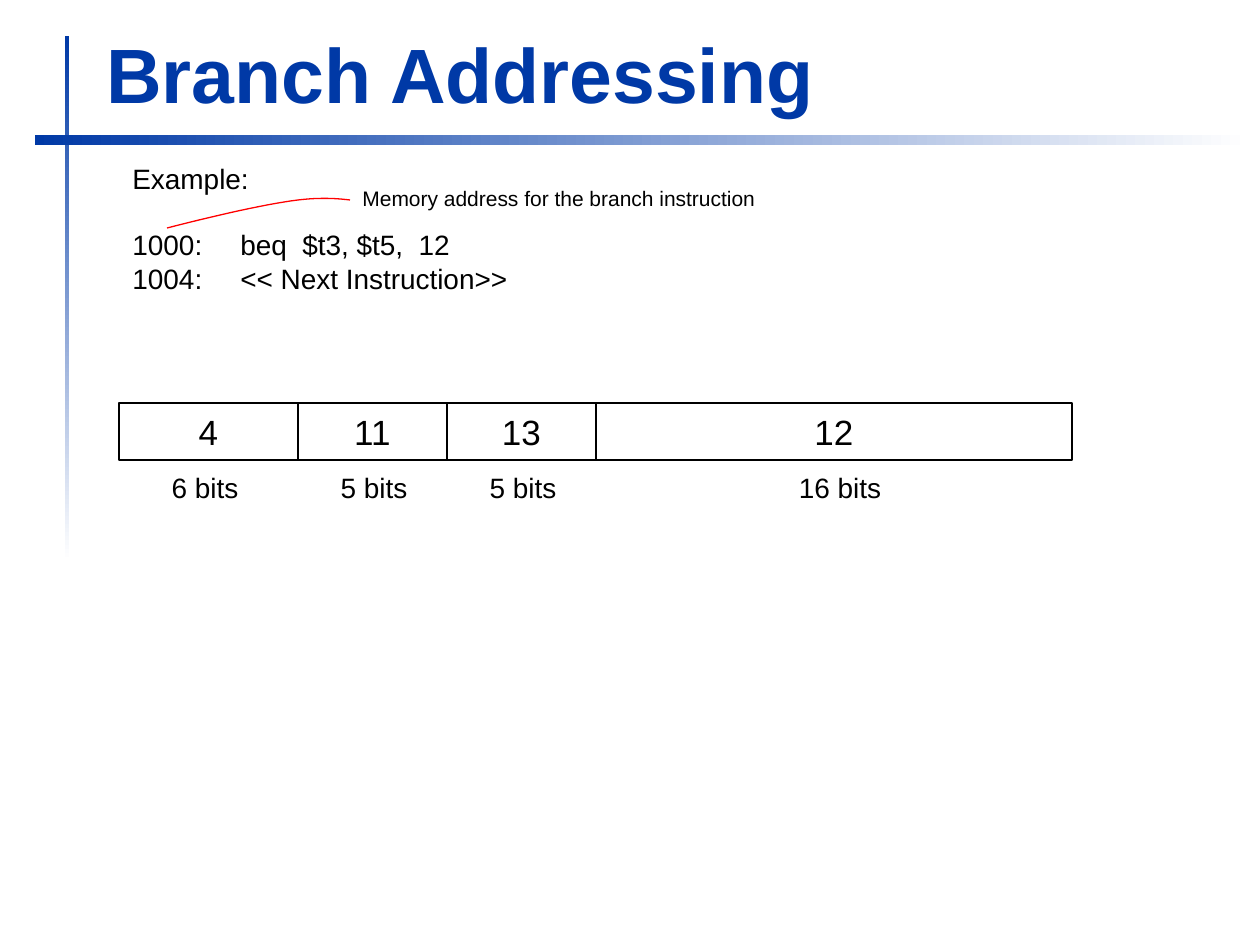
from dataclasses import dataclass

from lxml import etree
from pptx import Presentation
from pptx import util as u
from pptx.dml.color import RGBColor
from pptx.enum import shapes, text
from pptx.oxml.ns import qn

PX_PER_INCH = 126


@dataclass(frozen=True)
class Theme:
    font: str = "Arial"
    blue: RGBColor = RGBColor(0x00, 0x39, 0xA6)
    white: RGBColor = RGBColor(0xFF, 0xFF, 0xFF)
    black: RGBColor = RGBColor(0x00, 0x00, 0x00)
    red: RGBColor = RGBColor(0xFF, 0x00, 0x00)
    title: int = 44
    field: int = 20
    body: int = 16
    note: int = 12


THEME = Theme()
LEFT, CENTER = text.PP_ALIGN.LEFT, text.PP_ALIGN.CENTER


def px(length):
    return u.Emu(round(length * u.Inches(1) / PX_PER_INCH))


def write(shape, words, size, color=THEME.black, align=LEFT, bold=False):
    shape.text_frame.text = words
    for paragraph in shape.text_frame.paragraphs:
        paragraph.alignment = align
        for run in paragraph.runs:
            run.font.name = THEME.font
            run.font.size = u.Pt(size)
            run.font.bold = bold
            run.font.color.rgb = color


def add_text(slide, box, words, size, wrap=True, **style):
    shape = slide.shapes.add_textbox(*map(px, box))
    shape.text_frame.word_wrap = wrap
    write(shape, words, size, **style)
    return shape


def add_rectangle(slide, box):
    shape = slide.shapes.add_shape(shapes.MSO_SHAPE.RECTANGLE, *map(px, box))
    shape.shadow.inherit = False
    return shape


def add_fading_bar(slide, box, angle):
    bar = add_rectangle(slide, box)
    bar.line.fill.background()
    bar.fill.gradient()
    bar.fill.gradient_angle = angle
    for position, (stop, color) in enumerate(
        zip(bar.fill.gradient_stops, (THEME.blue, THEME.white))
    ):
        stop.position = position
        stop.color.rgb = color


def add_title(slide, words):
    title = add_text(
        slide, (94, 20, 1138, 105), words, THEME.title, color=THEME.blue, bold=True
    )
    title.text_frame.vertical_anchor = text.MSO_ANCHOR.BOTTOM


def add_tab_stop(paragraph, position):
    tabs = etree.SubElement(paragraph._p.get_or_add_pPr(), qn("a:tabLst"))
    etree.SubElement(tabs, qn("a:tab"), pos=str(px(position)), algn="l")


def add_listing(slide):
    lines = ("Example:", "1000:\tbeq  $t3, $t5,  12", "1004:\t<< Next Instruction>>")
    listing = add_text(
        slide, (120, 155, 407, 149), "\n".join(lines), THEME.body, wrap=False
    )
    instructions = listing.text_frame.paragraphs[1:]
    for paragraph in instructions:
        add_tab_stop(paragraph, 108)
    instructions[0].space_before = u.Pt(19)


def add_fields(slide, fields):
    left = 119
    for value, bits, width, label_center in fields:
        cell = add_rectangle(slide, (left, 403, width, 57))
        cell.fill.background()
        cell.line.color.rgb = THEME.black
        cell.line.width = u.Pt(1.5)
        write(cell, value, THEME.field, align=CENTER)
        label_box = (label_center - 54, 464, 108, 47)
        add_text(slide, label_box, bits, THEME.body, wrap=False, align=CENTER)
        left += width


def bezier_points(start, control_1, control_2, end, steps=12):
    for step in range(1, steps + 1):
        t = step / steps
        weights = ((1 - t) ** 3, 3 * t * (1 - t) ** 2, 3 * t**2 * (1 - t), t**3)
        yield tuple(
            px(sum(weight * value for weight, value in zip(weights, axis)))
            for axis in zip(start, control_1, control_2, end)
        )


def add_curve(slide, start, *segments):
    builder = slide.shapes.build_freeform(*map(px, start))
    for segment in segments:
        builder.add_line_segments(bezier_points(start, *segment), close=False)
        start = segment[-1]
    curve = builder.convert_to_shape()
    curve.shadow.inherit = False
    curve.fill.background()
    curve.line.color.rgb = THEME.red
    curve.line.width = u.Pt(0.75)


def main():
    presentation = Presentation()
    presentation.slide_width = u.Inches(10)
    presentation.slide_height = u.Inches(7.5)
    slide = presentation.slides.add_slide(presentation.slide_layouts[6])

    add_fading_bar(slide, (65, 36, 4, 525), 270)
    add_fading_bar(slide, (35, 135, 1214, 10), 0)
    add_title(slide, "Branch Addressing")
    add_listing(slide)
    add_fields(
        slide,
        (
            ("4", "6 bits", 179, 205),
            ("11", "5 bits", 149, 374),
            ("13", "5 bits", 149, 523),
            ("12", "16 bits", 476, 840),
        ),
    )
    add_curve(
        slide,
        (167, 228),
        ((210, 217), (253, 207), (284, 202)),
        ((314, 197), (333, 198), (350, 200)),
    )
    add_text(
        slide,
        (350, 179, 473, 38),
        "Memory address for the branch instruction",
        THEME.note,
    )
    presentation.save("out.pptx")


if __name__ == "__main__":
    main()
